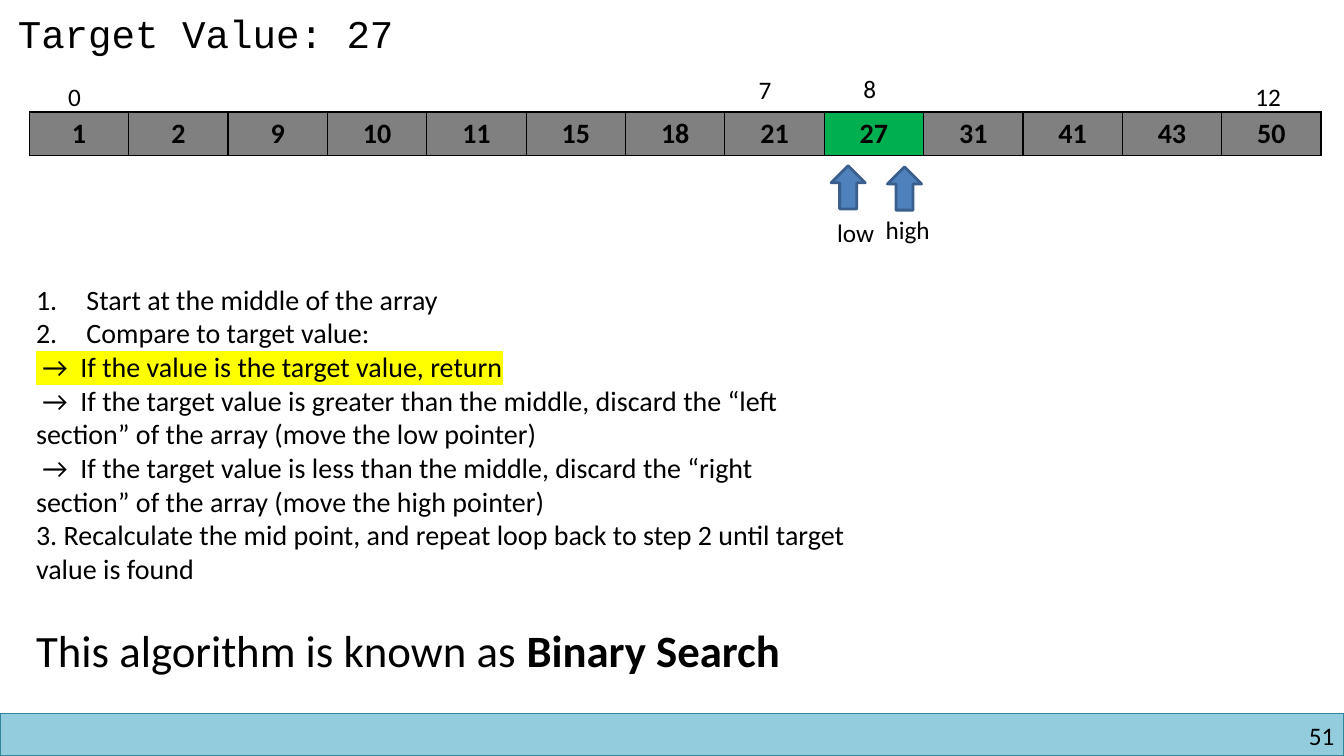
"""Build a slide that shows the last step of a binary search."""
from lxml import etree
from pptx import Presentation
from pptx.dml import color
from pptx.enum import shapes, text
from pptx.oxml import ns
from pptx.util import Cm, Pt

VALUES = [1, 2, 9, 10, 11, 15, 18, 21, 27, 31, 41, 43, 50]
TARGET = 27
INDEX_LABELS = [("0", 1.47, 1.93, 0.86), ("7", 18.87, 1.75, 0.86),
                ("8", 21.51, 1.73, 0.86), ("12", 31.39, 1.93, 1.22)]
POINTERS = [("low", 20.83, 4.29, 20.85, 5.36, 1.47),
            ("high", 22.25, 4.32, 22.07, 5.28, 1.73)]
NUMBERED = ["Start at the middle of the array", "Compare to target value:"]
FOUND = " →  If the value is the target value, return"
FOLLOWING = [
    " →  If the target value is greater than the middle, discard the “left section” "
    "of the array (move the low pointer)",
    " →  If the target value is less than the middle, discard the “right section” "
    "of the array (move the high pointer)",
    "3. Recalculate the mid point, and repeat loop back to step 2 until target value is found",
]


def rgb(code):
    """Turn a hex string into a colour."""
    return color.RGBColor.from_string(code)


def add_xml(parent, tag, **attributes):
    """Append a DrawingML element to a parent."""
    return etree.SubElement(parent, ns.qn(tag), attributes)


def format_run(run, size, font="Calibri", bold=None):
    """Give a run its size, font and black colour."""
    run.font.size = Pt(size)
    run.font.name = font
    run.font.bold = bold
    run.font.color.rgb = rgb("000000")


def add_text(slide, lines, left, top, width, height=1.02, size=18, font="Calibri", wrap=False):
    """Add a text box with one paragraph per line."""
    box = slide.shapes.add_textbox(Cm(left), Cm(top), Cm(width), Cm(height))
    frame = box.text_frame
    frame.text = "\n".join(lines)
    frame.word_wrap = wrap
    frame.auto_size = text.MSO_AUTO_SIZE.SHAPE_TO_FIT_TEXT
    for paragraph in frame.paragraphs:
        for run in paragraph.runs:
            format_run(run, size, font)
    return frame


def add_preset(slide, kind, left, top, width, height, fill, line, weight):
    """Add a flat preset shape with a fill and an outline."""
    shape = slide.shapes.add_shape(kind, Cm(left), Cm(top), Cm(width), Cm(height))
    shape.shadow.inherit = False
    shape.fill.solid()
    shape.fill.fore_color.rgb = rgb(fill)
    shape.line.color.rgb = rgb(line)
    shape.line.width = Pt(weight)
    return shape


def number_paragraph(paragraph):
    """Number a paragraph with a hanging indent."""
    properties = paragraph._p.get_or_add_pPr()
    properties.set("marL", str(Cm(1.27)))
    properties.set("indent", str(-Cm(1.27)))
    add_xml(properties, "a:buFont", typeface="+mj-lt")
    add_xml(properties, "a:buAutoNum", type="arabicPeriod")


def highlight_run(run, code):
    """Put a highlight colour behind a run."""
    properties = run._r.get_or_add_rPr()
    marker = add_xml(properties, "a:highlight")
    add_xml(marker, "a:srgbClr", val=code)
    properties.find(ns.qn("a:solidFill")).addnext(marker)


def border_cell(cell):
    """Draw thin black borders around a cell."""
    properties = cell._tc.get_or_add_tcPr()
    for position, side in enumerate(("a:lnL", "a:lnR", "a:lnT", "a:lnB")):
        border = add_xml(properties, side, w=str(Pt(1)))
        add_xml(add_xml(border, "a:solidFill"), "a:srgbClr", val="000000")
        properties.insert(position, border)


def add_array(slide):
    """Add the array as a one-row table with the target marked."""
    frame = slide.shapes.add_table(1, len(VALUES), Cm(0.74), Cm(2.82), Cm(32.56), Cm(1.1))
    array = frame.table
    array.first_row = array.horz_banding = False
    for cell, value in zip(array.iter_cells(), VALUES):
        cell.text = str(value)
        cell.fill.solid()
        cell.fill.fore_color.rgb = rgb("00B050" if value == TARGET else "808080")
        border_cell(cell)
        paragraph = cell.text_frame.paragraphs[0]
        paragraph.alignment = text.PP_ALIGN.CENTER
        format_run(paragraph.runs[0], 20, bold=True)


def add_pointer(slide, label, arrow_left, arrow_top, left, top, width):
    """Add an upward arrow and its label."""
    arrow = add_preset(slide, shapes.MSO_SHAPE.RIGHT_ARROW, arrow_left, arrow_top,
                       1.09, 0.86, "4F81BD", "3A5F8C", 2)
    arrow.rotation = 270
    add_text(slide, [label], left, top, width)


def add_steps(slide):
    """Add the steps of the algorithm with the current one highlighted."""
    steps = add_text(slide, NUMBERED + [FOUND] + FOLLOWING, 0.66, 6.99, 20.93, 8.81,
                     size=20, wrap=True).paragraphs
    for paragraph in steps[:len(NUMBERED)]:
        number_paragraph(paragraph)
    highlight_run(steps[len(NUMBERED)].runs[0], "FFFF00")


def add_conclusion(slide):
    """Add the closing sentence with the bold name of the algorithm."""
    frame = add_text(slide, ["This algorithm is known as "], 0.66, 15.57, 21.89, 1.63, size=32)
    name = frame.paragraphs[0].add_run()
    name.text = "Binary Search"
    format_run(name, 32, bold=True)


def add_footer(slide):
    """Add the footer band and the page number."""
    add_preset(slide, shapes.MSO_SHAPE.RECTANGLE, 0, 17.98, 33.87, 1.07, "93CDDD", "31859C", 1)
    page = add_text(slide, ["51"], 25.83, 18.16, 7.8, 0.76, wrap=True)
    page.margin_left = page.margin_right = page.margin_top = page.margin_bottom = 0
    page.paragraphs[0].alignment = text.PP_ALIGN.RIGHT


def main():
    """Build and save the slide."""
    deck = Presentation()
    deck.slide_width, deck.slide_height = Cm(33.87), Cm(19.05)
    slide = deck.slides.add_slide(deck.slide_layouts[6])
    add_footer(slide)
    add_array(slide)
    add_text(slide, [f"Target Value: {TARGET}"], 0.2, 0.1, 10.06, 1.45, size=28, font="Courier New")
    for label, left, top, width in INDEX_LABELS:
        add_text(slide, [label], left, top, width)
    add_steps(slide)
    for pointer in POINTERS:
        add_pointer(slide, *pointer)
    add_conclusion(slide)
    deck.save("out.pptx")


if __name__ == "__main__":
    main()
